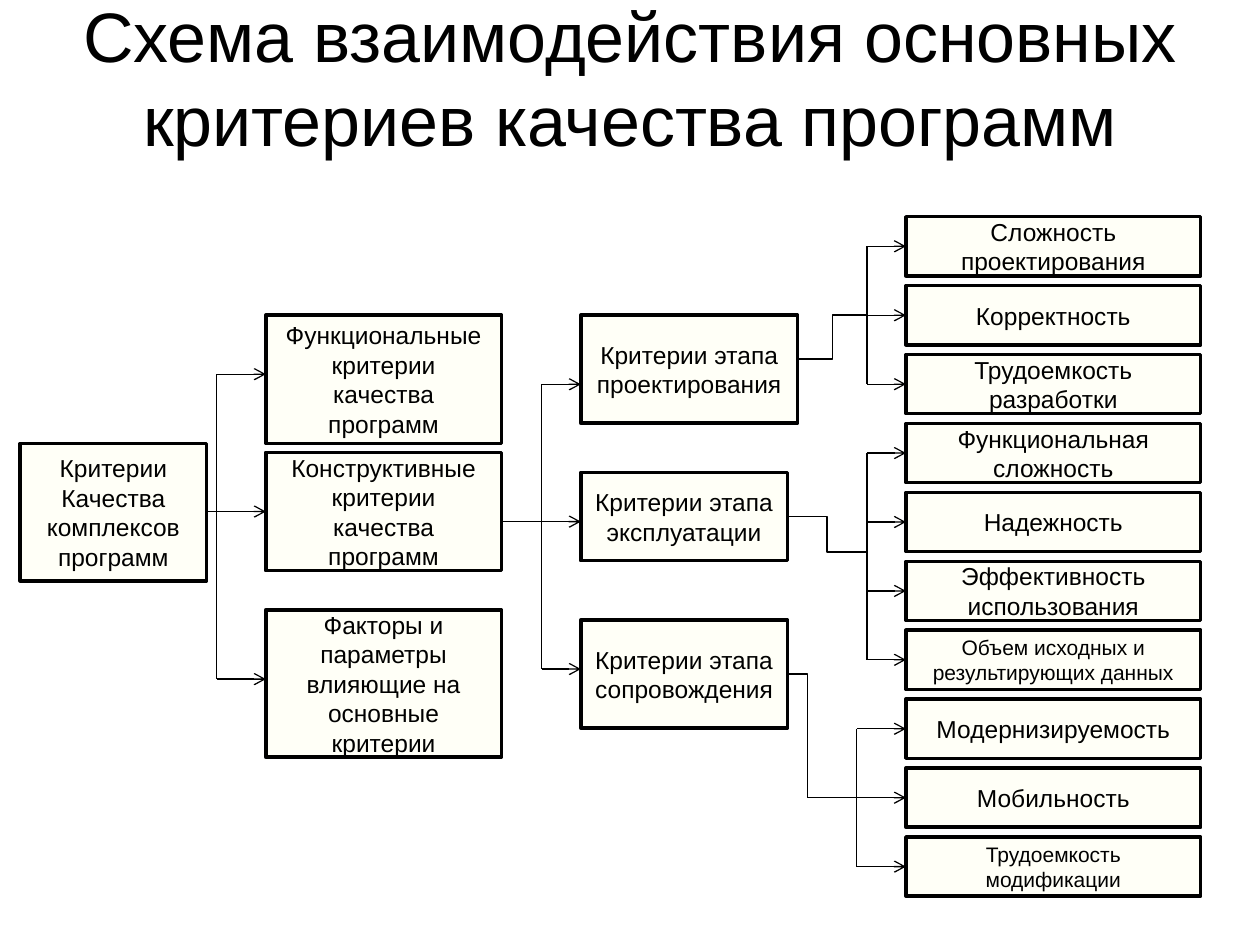
"""Build the slide with the tree of software quality criteria."""
from lxml.etree import SubElement
from pptx import Presentation
from pptx.dml.color import RGBColor
from pptx.enum.shapes import MSO_CONNECTOR, MSO_SHAPE
from pptx.enum.text import MSO_ANCHOR, PP_ALIGN
from pptx.oxml.ns import qn
from pptx.util import Inches, Pt

BLACK = RGBColor(0x00, 0x00, 0x00)
IVORY = RGBColor(0xFF, 0xFF, 0xF7)
FONT = "Arial"

TITLE = "Схема взаимодействия основных критериев качества программ"
GROUPS = [
    (["Критерии", "Качества комплексов программ"], 0.16, 3.52, 1.48, 1.09),
    (["Функциональные критерии качества программ"], 2.11, 2.5, 1.87, 1.02),
    (["Конструктивные критерии качества программ"], 2.11, 3.59, 1.87, 0.94),
    (["Факторы и параметры влияющие на основные критерии"], 2.11, 4.84, 1.87, 1.17),
    (["Критерии этапа проектирования"], 4.61, 2.5, 1.72, 0.86),
    (["Критерии этапа эксплуатации"], 4.61, 3.75, 1.64, 0.7),
    (["Критерии этапа сопровождения"], 4.61, 4.92, 1.64, 0.86),
]
CRITERIA = [
    ("Сложность проектирования", 14),
    ("Корректность", 14),
    ("Трудоемкость разработки", 14),
    ("Функциональная сложность", 14),
    ("Надежность", 14),
    ("Эффективность использования", 14),
    ("Объем исходных и результирующих данных", 12),
    ("Модернизируемость", 14),
    ("Мобильность", 14),
    ("Трудоемкость модификации", 12),
]
CRITERIA_LEFT, CRITERIA_TOP, CRITERIA_PITCH = 7.19, 1.72, 0.547
CRITERIA_WIDTH, CRITERIA_HEIGHT = 2.34, 0.47

CRITERIA_MIDDLES = [
    CRITERIA_TOP + CRITERIA_HEIGHT / 2 + row * CRITERIA_PITCH for row in range(len(CRITERIA))
]
BRANCHES = [
    (1.72, 2.11, [2.97, 5.39]),
    (4.3, 4.61, [3.05, 5.31]),
    (6.88, CRITERIA_LEFT, CRITERIA_MIDDLES[:3]),
    (6.88, CRITERIA_LEFT, CRITERIA_MIDDLES[3:7]),
    (6.8, CRITERIA_LEFT, CRITERIA_MIDDLES[7:]),
]
STEMS = [
    (1.64, 4.06, 2.11, 4.06, True),
    (3.98, 4.14, 4.61, 4.14, True),
    (6.8, 2.5, 6.88, 2.5, False),
    (6.41, 6.33, 6.8, 6.33, False),
]
BENDS = [
    (6.33, 2.85, 6.88, 2.5, "bentConnector3"),
    (6.25, 4.1, 6.88, 4.38, "bentConnector3"),
    (6.25, 5.35, 6.41, 6.33, "bentConnector2"),
]


def write(frame, paragraphs, size):
    frame.word_wrap = True
    frame.vertical_anchor = MSO_ANCHOR.MIDDLE
    for index, text in enumerate(paragraphs):
        paragraph = frame.paragraphs[0] if index == 0 else frame.add_paragraph()
        paragraph.alignment = PP_ALIGN.CENTER
        run = paragraph.add_run()
        run.text = text
        run.font.name = FONT
        run.font.size = Pt(size)
        run.font.color.rgb = BLACK


def add_box(slide, paragraphs, left, top, width, height, size=14):
    box = slide.shapes.add_shape(
        MSO_SHAPE.RECTANGLE, Inches(left), Inches(top), Inches(width), Inches(height)
    )
    box.shadow.inherit = False
    box.fill.solid()
    box.fill.fore_color.rgb = IVORY
    box.line.color.rgb = BLACK
    box.line.width = Pt(2)
    write(box.text_frame, paragraphs, size)


def add_link(slide, x1, y1, x2, y2, arrow=False, bend=None):
    kind = MSO_CONNECTOR.ELBOW if bend else MSO_CONNECTOR.STRAIGHT
    link = slide.shapes.add_connector(kind, Inches(x1), Inches(y1), Inches(x2), Inches(y2))
    link.line.color.rgb = BLACK
    link.line.width = Pt(0.75)
    properties = link._element.spPr
    if bend:
        properties.find(qn("a:prstGeom")).set("prst", bend)
    if arrow:
        SubElement(properties.find(qn("a:ln")), qn("a:tailEnd"), type="arrow")
    SubElement(properties, qn("a:effectLst"))


def main():
    deck = Presentation()
    deck.slide_width, deck.slide_height = Inches(10), Inches(7.5)
    slide = deck.slides.add_slide(deck.slide_layouts[6])

    title = slide.shapes.add_textbox(Inches(0.5), Inches(0.3), Inches(9), Inches(1.25))
    title.text_frame.margin_bottom = Inches(0.69)
    write(title.text_frame, [TITLE], 40)

    for paragraphs, left, top, width, height in GROUPS:
        add_box(slide, paragraphs, left, top, width, height)
    for row, (text, size) in enumerate(CRITERIA):
        top = CRITERIA_TOP + row * CRITERIA_PITCH
        add_box(slide, [text], CRITERIA_LEFT, top, CRITERIA_WIDTH, CRITERIA_HEIGHT, size)

    for trunk, target, levels in BRANCHES:
        add_link(slide, trunk, levels[0], trunk, levels[-1])
        for level in levels:
            add_link(slide, trunk, level, target, level, arrow=True)
    for x1, y1, x2, y2, arrow in STEMS:
        add_link(slide, x1, y1, x2, y2, arrow)
    for x1, y1, x2, y2, bend in BENDS:
        add_link(slide, x1, y1, x2, y2, bend=bend)

    deck.save("out.pptx")


if __name__ == "__main__":
    main()
